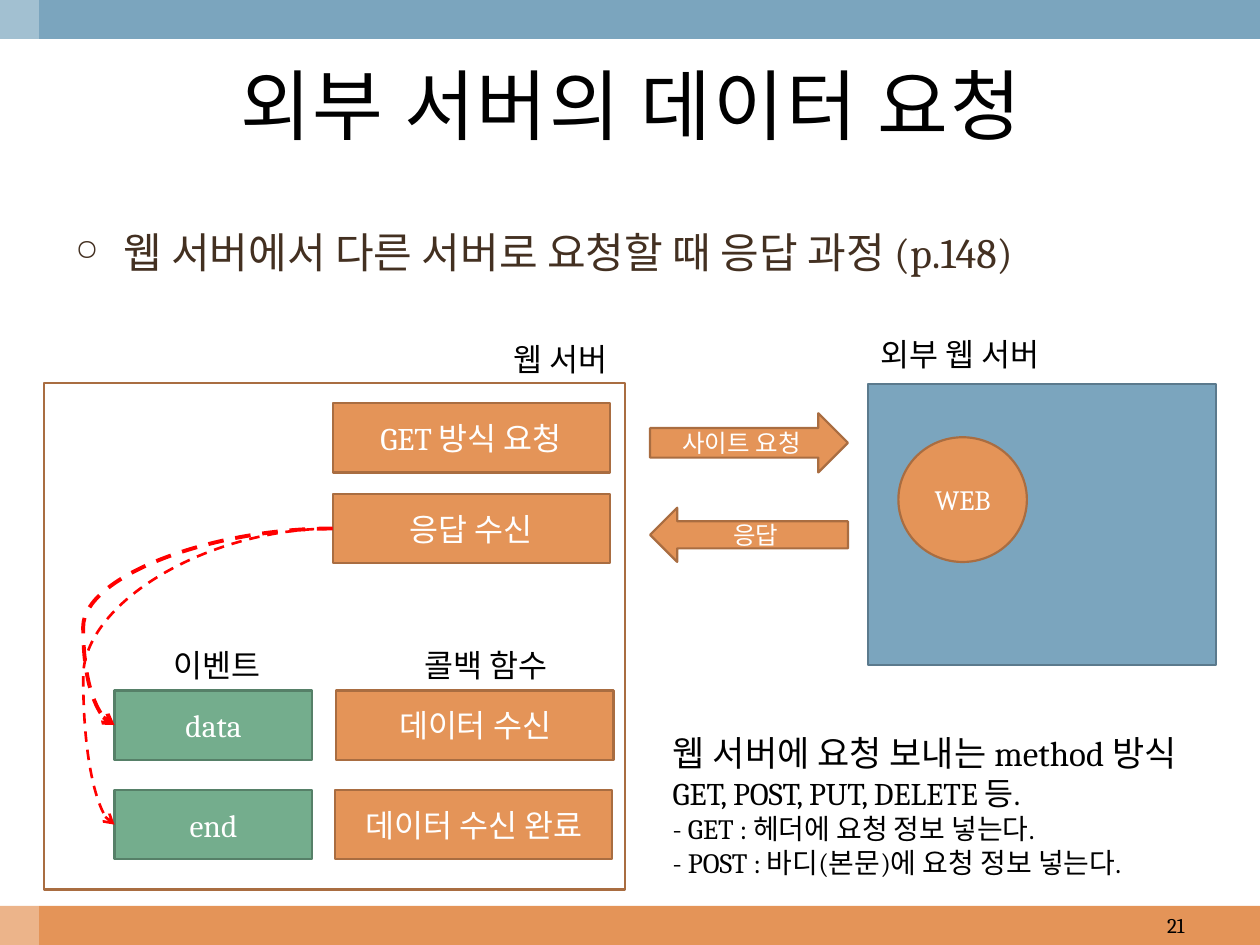
from lxml.etree import SubElement
from pptx import Presentation
from pptx.dml.color import RGBColor
from pptx.enum.dml import MSO_LINE
from pptx.enum.shapes import MSO_CONNECTOR, MSO_SHAPE
from pptx.enum.text import MSO_ANCHOR, MSO_AUTO_SIZE, PP_ALIGN
from pptx.oxml.ns import qn
from pptx.util import Inches, Pt

FONT = "Cambria"
BLACK = RGBColor(0x00, 0x00, 0x00)
WHITE = RGBColor(0xFF, 0xFF, 0xFF)
BROWN = RGBColor(0x43, 0x30, 0x21)
RED = RGBColor(0xFF, 0x00, 0x00)
ORANGE = RGBColor(0xE4, 0x94, 0x58)
ORANGE_EDGE = RGBColor(0xA9, 0x6D, 0x41)
BLUE = RGBColor(0x7B, 0xA5, 0xBE)
BLUE_EDGE = RGBColor(0x5B, 0x7A, 0x8D)
GREEN = RGBColor(0x74, 0xAD, 0x8D)
GREEN_EDGE = RGBColor(0x56, 0x80, 0x68)


def write(p, text, size=18, color=BLACK, align=None):
    r = p.add_run()
    r.text = text
    r.font.name = FONT
    r.font.size = Pt(size)
    r.font.color.rgb = color
    if align is not None:
        p.alignment = align
    return r


def add_box(s, x, y, w, h, text="", size=18, fill=ORANGE, edge=ORANGE_EDGE,
            kind=MSO_SHAPE.RECTANGLE):
    sp = s.shapes.add_shape(kind, Inches(x), Inches(y), Inches(w), Inches(h))
    sp.shadow.inherit = False
    if fill is None:
        sp.fill.background()
    else:
        sp.fill.solid()
        sp.fill.fore_color.rgb = fill
    if edge is None:
        sp.line.fill.background()
    else:
        sp.line.color.rgb = edge
        sp.line.width = Pt(1.25)
    if text:
        tf = sp.text_frame
        tf.vertical_anchor = MSO_ANCHOR.MIDDLE
        write(tf.paragraphs[0], text, size, WHITE, PP_ALIGN.CENTER)
    return sp


def add_text(s, x, y, w, h, *lines, wrap=False, anchor=MSO_ANCHOR.TOP, **fmt):
    """Add a text box; each line is a (text, size) pair."""
    tb = s.shapes.add_textbox(Inches(x), Inches(y), Inches(w), Inches(h))
    tf = tb.text_frame
    tf.word_wrap = wrap
    tf.auto_size = MSO_AUTO_SIZE.NONE if wrap else MSO_AUTO_SIZE.SHAPE_TO_FIT_TEXT
    tf.vertical_anchor = anchor
    for i, (text, size) in enumerate(lines):
        p = tf.add_paragraph() if i else tf.paragraphs[0]
        write(p, text, size, **fmt)
    return tf


def set_bullet(p, char, percent, indent):
    pPr = p._p.get_or_add_pPr()
    pPr.set("marL", str(Inches(indent)))
    pPr.set("indent", str(-Inches(indent)))
    SubElement(pPr, qn("a:buSzPct"), val=str(percent * 1000))
    SubElement(pPr, qn("a:buChar"), char=char)


def add_curve(s, start, end, width, bend):
    """Join the left sides of two boxes with a dashed curved arrow."""
    cn = s.shapes.add_connector(MSO_CONNECTOR.CURVE, 0, 0, 0, 0)
    cn.begin_connect(start, 1)
    cn.end_connect(end, 1)
    cn.line.color.rgb = RED
    cn.line.width = Pt(width)
    cn.line.dash_style = MSO_LINE.DASH
    spPr = cn._element.spPr
    SubElement(spPr.find(qn("a:ln")), qn("a:tailEnd"), type="arrow")
    SubElement(spPr, qn("a:effectLst"))
    guides = spPr.find(qn("a:prstGeom")).get_or_add_avLst()
    SubElement(guides, qn("a:gd"), name="adj1", fmla=f"val {round(bend * 100000)}")


def add_frame(s):
    add_box(s, 0, 7.19, 10, 0.31, edge=None)
    add_box(s, 0, 0, 10, 0.31, fill=BLUE, edge=None)
    strip = add_box(s, 0, 0, 0.31, 7.5, fill=WHITE, edge=None)
    color = strip._element.spPr.find(qn("a:solidFill"))[0]
    SubElement(color, qn("a:alpha"), val="30000")
    add_text(s, 7.17, 7.19, 2.33, 0.31, ("21", 12), wrap=True,
             anchor=MSO_ANCHOR.MIDDLE, align=PP_ALIGN.RIGHT)


def add_headings(s):
    tf = add_text(s, 0.5, 1.75, 9, 1.29,
                  ("웹 서버에서 다른 서버로 요청할 때 응답 과정 (p.148)", 24),
                  wrap=True, color=BROWN)
    p = tf.paragraphs[0]
    p.space_before = Pt(4.8)
    set_bullet(p, "○", 70, 0.38)
    tf = add_text(s, 0.33, 0.31, 9.36, 1.03, ("외부 서버의 데이터 요청", 44),
                  wrap=True, anchor=MSO_ANCHOR.MIDDLE, align=PP_ALIGN.CENTER)
    tf.paragraphs[0].runs[0].font._element.set("spc", "100")


def add_web_server(s):
    add_box(s, 0.35, 3.04, 4.61, 4.02, fill=None)
    add_text(s, 3.98, 2.65, 1.02, 0.4, ("웹 서버", 18))
    add_box(s, 2.64, 3.2, 2.2, 0.55, "GET 방식 요청")
    response = add_box(s, 2.64, 3.92, 2.2, 0.55, "응답 수신")

    add_text(s, 1.28, 5.08, 0.96, 0.4, ("이벤트", 18))
    add_text(s, 3.27, 5.08, 1.27, 0.4, ("콜백 함수", 18))
    rows = [
        (5.48, "data", 2.67, "데이터 수신", 2.25),
        (6.27, "end", 2.66, "데이터 수신 완료", 1.5),
    ]
    for y, event, x, callback, width in rows:
        add_box(s, x, y, 2.2, 0.55, callback)
        event_box = add_box(s, 0.91, y, 1.57, 0.55, event,
                            fill=GREEN, edge=GREEN_EDGE)
        add_curve(s, response, event_box, width, bend=1.144)


def add_external_server(s):
    add_box(s, 6.89, 3.05, 2.76, 2.23, fill=BLUE, edge=BLUE_EDGE)
    add_text(s, 6.89, 2.61, 1.59, 0.4, ("외부 웹 서버", 18))
    add_box(s, 7.13, 3.47, 1.02, 0.99, "WEB", 16, kind=MSO_SHAPE.OVAL)
    add_box(s, 5.16, 3.28, 1.57, 0.47, "사이트 요청", 14, kind=MSO_SHAPE.RIGHT_ARROW)
    add_box(s, 5.16, 4.03, 1.57, 0.43, "응답", 14, kind=MSO_SHAPE.LEFT_ARROW)


def add_method_notes(s):
    add_text(s, 5.24, 5.76, 4.58, 1.28,
             ("웹 서버에 요청 보내는 method 방식", 20),
             ("GET, POST, PUT, DELETE 등.", 18),
             ("- GET : 헤더에 요청 정보 넣는다.", 16),
             ("- POST : 바디(본문)에 요청 정보 넣는다.", 16))


def main():
    prs = Presentation()
    prs.slide_width = Inches(10)
    prs.slide_height = Inches(7.5)
    s = prs.slides.add_slide(prs.slide_layouts[6])
    add_frame(s)
    add_headings(s)
    add_web_server(s)
    add_external_server(s)
    add_method_notes(s)
    prs.save("out.pptx")


if __name__ == "__main__":
    main()
